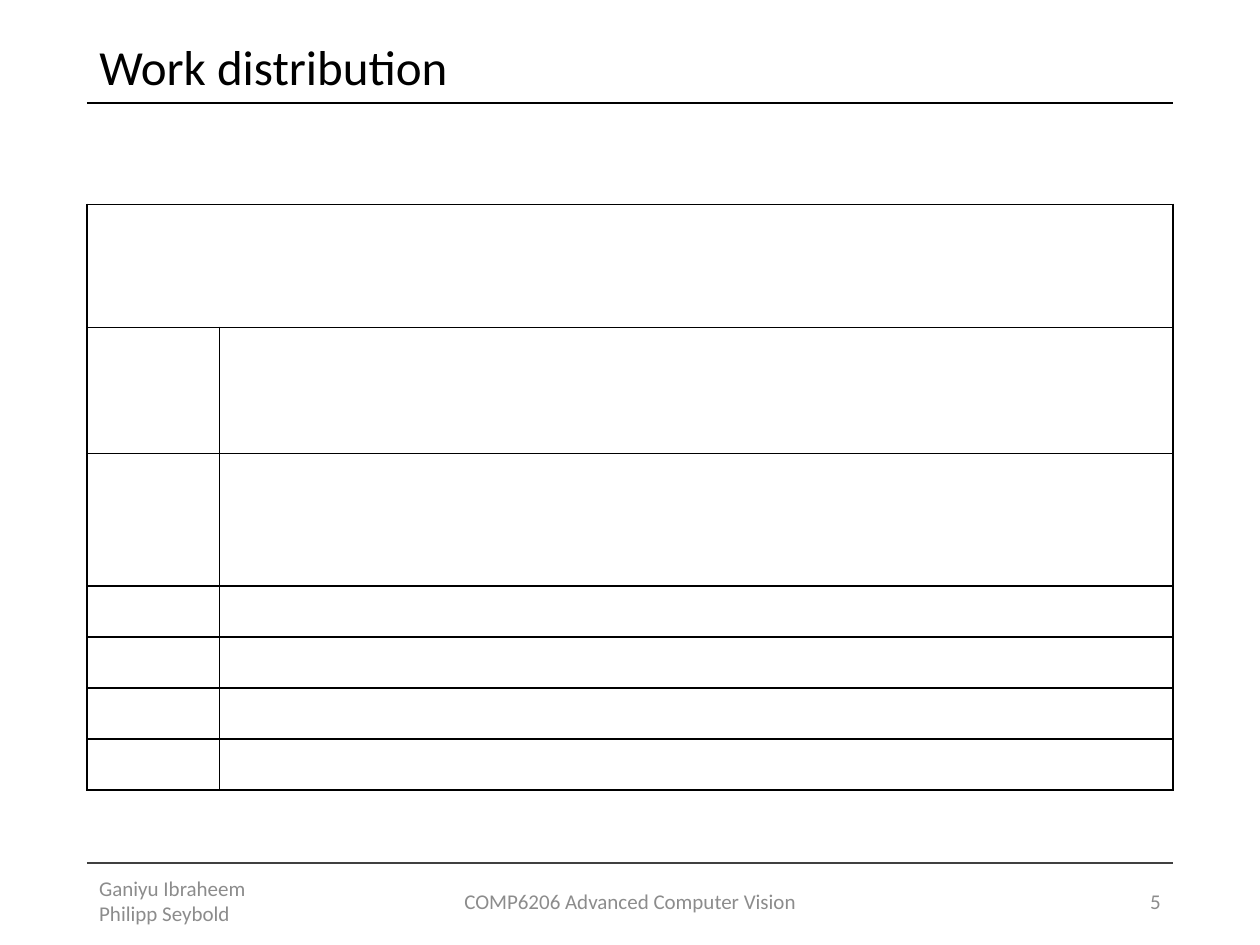
from lxml import etree
from pptx import Presentation
from pptx.dml import color
from pptx.enum import shapes, text
from pptx.oxml import ns
from pptx.util import Cm, Pt

TITLE = "Work distribution"
LEFT, WIDTH = 1.75, 21.9
FOOT = [
    ("Ganiyu Ibraheem\vPhilipp Seybold", LEFT, 4.29, "LEFT"),
    ("COMP6206 Advanced Computer Vision", 8.41, 8.59, "CENTER"),
    ("5", 17.93, 5.72, "RIGHT"),
]
RULES = [(2.08, "ink"), (17.4, "rule")]
COLS = [2.67, 19.23]
ROWS = [2.48, 2.54, 2.67] + [1.03] * 4
TOP = 4.12
THEME = {
    "font": "Calibri", "ink": "000000", "rule": "404040", "foot": "8C8C8C",
    "title_size": 28, "foot_size": 12, "line": 1,
}


def tint(key):
    return color.RGBColor.from_string(THEME[key])


def write(box, words, size, hue, align):
    frame = box.text_frame
    frame.text = words
    look = {"word_wrap": True, "auto_size": text.MSO_AUTO_SIZE.NONE,
            "vertical_anchor": text.MSO_ANCHOR.MIDDLE}
    for name, value in look.items():
        setattr(frame, name, value)
    para = frame.paragraphs[0]
    para.alignment = getattr(text.PP_ALIGN, align)
    for run in para.runs:
        for name, value in {"name": THEME["font"], "size": Pt(THEME[size])}.items():
            setattr(run.font, name, value)
        run.font.color.rgb = tint(hue)
    return para


def border(cell):
    props = cell._tc.get_or_add_tcPr()
    for spot, side in enumerate(("lnL", "lnR", "lnT", "lnB")):
        edge = etree.Element(ns.qn("a:" + side), w=str(Pt(THEME["line"])))
        fill = etree.SubElement(edge, ns.qn("a:solidFill"))
        etree.SubElement(fill, ns.qn("a:srgbClr"), val=THEME["ink"])
        props.insert(spot, edge)


deck = Presentation()
deck.slide_width, deck.slide_height = Cm(25.4), Cm(19.05)
slide = deck.slides.add_slide(deck.slide_layouts[5])

for y, hue in RULES:
    line = slide.shapes.add_connector(
        shapes.MSO_CONNECTOR.STRAIGHT, Cm(LEFT), Cm(y), Cm(LEFT + WIDTH), Cm(y))
    line.line.color.rgb = tint(hue)
    line.line.width = Pt(THEME["line"])
    etree.SubElement(line._element.spPr, ns.qn("a:effectLst"))

title = slide.shapes.title
place = {"left": LEFT, "top": 0.71, "width": WIDTH, "height": 1.37}
for name, value in place.items():
    setattr(title, name, Cm(value))
write(title, TITLE, "title_size", "ink", "LEFT").line_spacing = 0.9

for words, x, wide, align in FOOT:
    box = slide.shapes.add_textbox(Cm(x), Cm(17.65), Cm(wide), Cm(1.02))
    write(box, words, "foot_size", "foot", align)

grid = slide.shapes.add_table(
    len(ROWS), len(COLS), Cm(LEFT), Cm(TOP), Cm(sum(COLS)), Cm(sum(ROWS))).table
for col, wide in zip(grid.columns, COLS):
    col.width = Cm(wide)
for row, high in zip(grid.rows, ROWS):
    row.height = Cm(high)
for cell in grid.iter_cells():
    cell.fill.background()
    border(cell)
grid.cell(0, 0).merge(grid.cell(0, 1))

deck.save("out.pptx")
